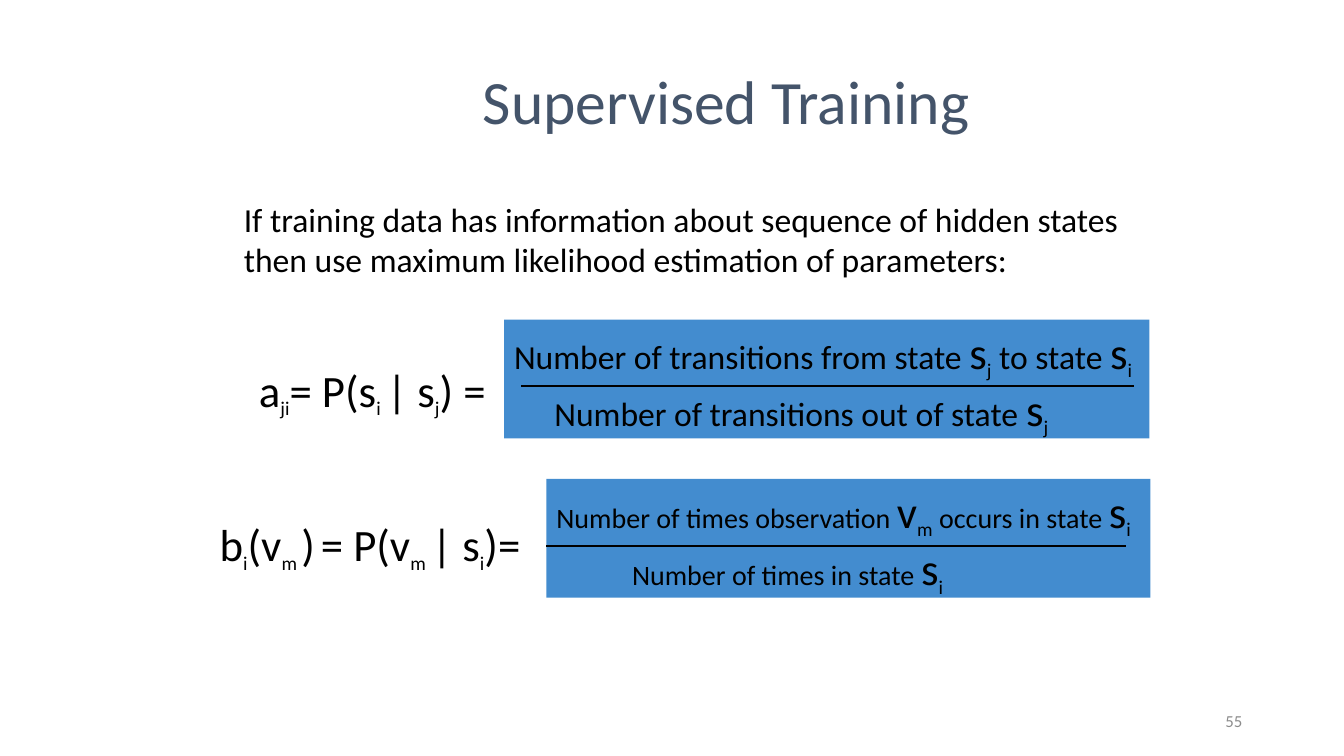
from pptx import Presentation
from pptx.dml.color import RGBColor
from pptx.enum.shapes import MSO_CONNECTOR, MSO_SHAPE
from pptx.enum.text import MSO_ANCHOR, PP_ALIGN
from pptx.oxml.ns import qn
from pptx.util import Inches, Pt
from lxml import etree

LEFT, CENTER, RIGHT = PP_ALIGN.LEFT, PP_ALIGN.CENTER, PP_ALIGN.RIGHT
TOP, MIDDLE = MSO_ANCHOR.TOP, MSO_ANCHOR.MIDDLE
RECT, STRAIGHT = MSO_SHAPE.RECTANGLE, MSO_CONNECTOR.STRAIGHT
BLACK = RGBColor(0, 0, 0)
SLATE = RGBColor(0x44, 0x54, 0x6A)
GRAY = RGBColor(0x8C, 0x8C, 0x8C)
BLUE = RGBColor(0x43, 0x8C, 0xCF)
FONT = "Calibri"
SUB = "sub"

TITLE = "Supervised Training"
INTRO = ("If training data has information about sequence of hidden states "
         "then use maximum likelihood estimation of parameters:")
PAGE = "55"

RULES = [
    {
        "left": [("a", 32), ("ji", SUB), ("= P(s", 32), ("i", SUB), (" ", 18),
                 ("| s", 32), ("j", SUB), (") =", 32)],
        "left_at": (2.47, 3.55, 2.53, 0.63),
        "over": [("Number of transitions from state ", 24), ("s", 32), ("j", SUB),
                 (" to state ", 24), ("s", 32), ("i", SUB)],
        "under": [("Number of transitions out of state ", 24), ("s", 32), ("j", SUB)],
        "indent": 0.4,
        "box": (5, 3.17, 6.4, 1.18),
        "bar": (5.17, 11.25, 3.83),
    },
    {
        "left": [("b", 32), ("i", SUB), ("(v", 32), ("m ", SUB), (")", 32),
                 (" ", 18), ("= P(v", 32), ("m", SUB), (" ", 18), ("| s", 32),
                 ("i", SUB), (")=", 32)],
        "left_at": (2.08, 5.08, 3.3, 0.63),
        "over": [("Number of times observation ", 20), ("v", 32), ("m", SUB),
                 (" occurs in state ", 20), ("s", 32), ("i", SUB)],
        "under": [("Number of times in state ", 20), ("s", 32), ("i", SUB)],
        "indent": 0.75,
        "box": (5.42, 4.75, 5.99, 1.18),
        "bar": (5.42, 11.17, 5.42),
    },
]


def style(run, size, color=BLACK):
    font = run.font
    font.name = FONT
    font.color.rgb = color
    font.size = Pt(24 if size == SUB else size)
    if size == SUB:
        run._r.get_or_add_rPr().set("baseline", "-25000")


def fill(para, parts):
    para.alignment = LEFT
    for text, size in parts:
        run = para.add_run()
        run.text = text
        style(run, size)


def add_box(host, at, anchor=TOP):
    box = host.add_textbox(*map(Inches, at))
    box.text_frame.word_wrap = True
    box.text_frame.vertical_anchor = anchor
    return box.text_frame


def add_text(host, at, text, size, color=BLACK, align=LEFT, anchor=TOP):
    para = add_box(host, at, anchor).paragraphs[0]
    para.text = text
    para.alignment = align
    style(para.runs[0], size, color)
    return para


def add_rule(host, rule):
    fill(add_box(host, rule["left_at"]).paragraphs[0], rule["left"])

    box = host.add_shape(RECT, *map(Inches, rule["box"]))
    box.shadow.inherit = False
    box.fill.solid()
    box.fill.fore_color.rgb = BLUE
    box.line.fill.background()
    frame = box.text_frame
    frame.word_wrap = True
    frame.vertical_anchor = TOP
    fill(frame.paragraphs[0], rule["over"])
    under = frame.add_paragraph()
    fill(under, rule["under"])
    under._p.get_or_add_pPr().set("marL", str(Inches(rule["indent"])))

    start, end, y = map(Inches, rule["bar"])
    bar = host.add_connector(STRAIGHT, start, y, end, y)
    bar.line.color.rgb = BLACK
    bar.line.width = Pt(1.5)
    etree.SubElement(bar._element.spPr, qn("a:effectLst"))


def main():
    deck = Presentation()
    deck.slide_width, deck.slide_height = Inches(13.33), Inches(7.5)
    shapes = deck.slides.add_slide(deck.slide_layouts[6]).shapes

    add_text(shapes, (9.42, 6.95, 3, 0.4), PAGE, 12, GRAY, RIGHT, MIDDLE)
    title = add_text(shapes, (3.17, 0.42, 8.07, 1.25), TITLE, 44, SLATE, CENTER, MIDDLE)
    title.line_spacing = 0.85
    add_text(shapes, (2.32, 1.92, 8.93, 0.9), INTRO, 24)
    for rule in RULES:
        add_rule(shapes.add_group_shape().shapes, rule)

    deck.save("out.pptx")


if __name__ == "__main__":
    main()
